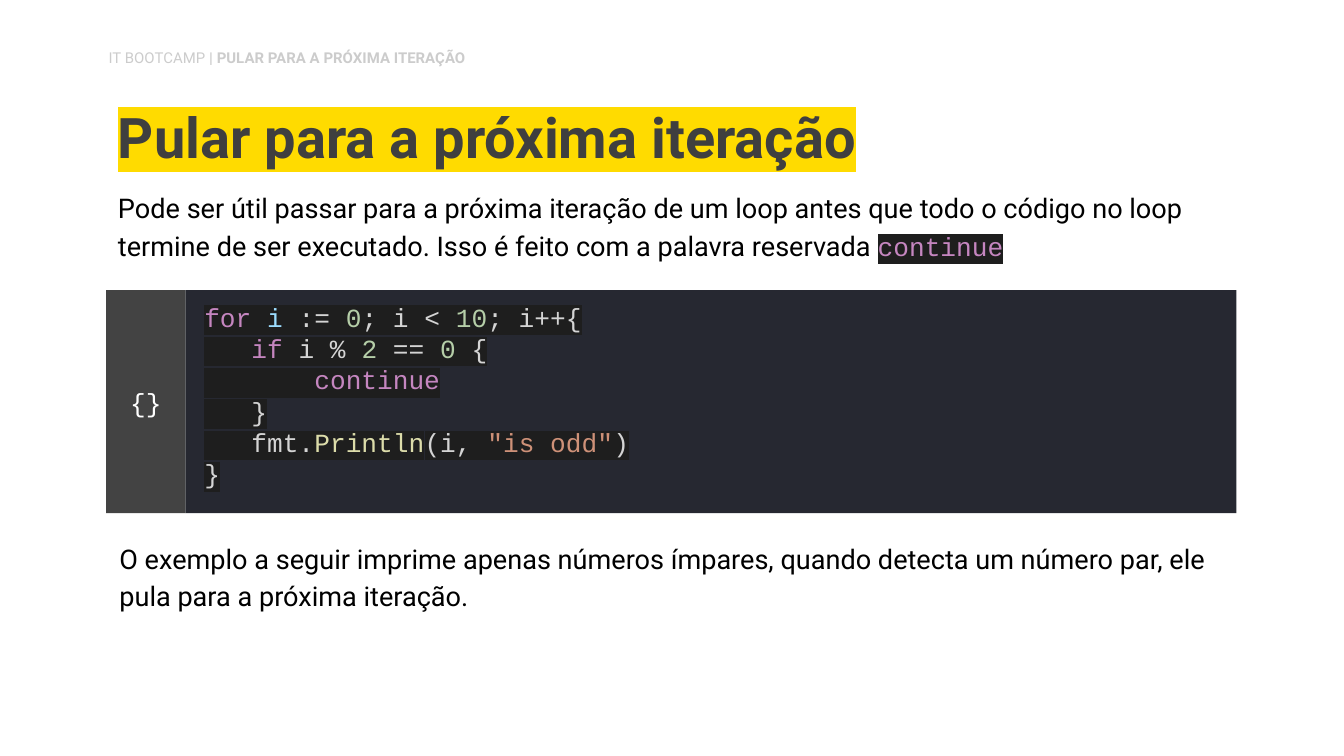
import pptx
import pptx.dml.color
import pptx.enum.shapes
import pptx.enum.text
import pptx.util
from lxml import etree
from pptx.util import Inches

PP_ALIGN = pptx.enum.text.PP_ALIGN
ANCHOR = pptx.enum.text.MSO_ANCHOR
SANS, MONO = "Roboto", "Courier New"
BLACK, WHITE = "000000", "FFFFFF"
CODE_BACK = "1E1E1E"
KEYWORD, PLAIN, VARIABLE = "C586C0", "D4D4D4", "9CDCFE"
NUMBER, FUNCTION, STRING = "B5CEA8", "DCDCAA", "CE9178"

CODE = [
    [("for", KEYWORD), (" ", PLAIN), ("i", VARIABLE), (" := ", PLAIN), ("0", NUMBER),
     ("; i < ", PLAIN), ("10", NUMBER), ("; i++{", PLAIN)],
    [("   ", PLAIN), ("if", KEYWORD), (" i % ", PLAIN), ("2", NUMBER),
     (" == ", PLAIN), ("0", NUMBER), (" {", PLAIN)],
    [("       ", PLAIN), ("continue", KEYWORD)],
    [("   }", PLAIN)],
    [("   fmt.", PLAIN), ("Println", FUNCTION), ("(i, ", PLAIN),
     ('"is odd"', STRING), (")", PLAIN)],
    [("}", PLAIN)],
]


def color(value):
    return pptx.dml.color.RGBColor.from_string(value)


def add_highlight(r, value):
    """Put a marker colour behind a run; its fill must be set already."""
    qn = pptx.oxml.ns.qn
    mark = etree.SubElement(r.font._element, qn("a:highlight"))
    etree.SubElement(mark, qn("a:srgbClr"), val=value)


def add_run(p, text, size, font, fill, bold=False, highlight=None):
    r = p.add_run()
    r.text = text
    r.font.size = pptx.util.Pt(size)
    r.font.bold = bold
    r.font.color.rgb = color(fill)
    if highlight:
        add_highlight(r, highlight)
    r.font.name = font


def set_frame(tf, anchor, left=0.1, top=0.1, right=0.1, bottom=0.1):
    tf.word_wrap = True
    tf.vertical_anchor = anchor
    tf.margin_left, tf.margin_top = Inches(left), Inches(top)
    tf.margin_right, tf.margin_bottom = Inches(right), Inches(bottom)


def add_text(s, left, top, width, height, line_spacing=1.0, anchor=ANCHOR.TOP, pad=0.1):
    """Add a text box and return its first paragraph."""
    sp = s.shapes.add_textbox(Inches(left), Inches(top), Inches(width), Inches(height))
    set_frame(sp.text_frame, anchor, top=pad, bottom=pad)
    p = sp.text_frame.paragraphs[0]
    p.line_spacing = line_spacing
    return p


def add_panel(group, left, width, fill):
    """Add one filled part of the code block and return its text frame."""
    sp = group.shapes.add_shape(pptx.enum.shapes.MSO_SHAPE.RECTANGLE,
                                Inches(left), Inches(2.16), Inches(width), Inches(1.66))
    sp.shadow.inherit = False
    sp.fill.solid()
    sp.fill.fore_color.rgb = color(fill)
    sp.line.fill.background()
    return sp.text_frame


def add_code_block(s):
    group = s.shapes.add_group_shape()
    tf = add_panel(group, 1.38, 7.82, "262831")
    set_frame(tf, ANCHOR.MIDDLE, left=0.14, top=0)
    for i, line in enumerate(CODE):
        p = tf.add_paragraph() if i else tf.paragraphs[0]
        p.alignment = PP_ALIGN.LEFT
        for text, fill in line:
            add_run(p, text, 14, MONO, fill, highlight=CODE_BACK)

    tf = add_panel(group, 0.79, 0.59, "434343")
    set_frame(tf, ANCHOR.MIDDLE)
    p = tf.paragraphs[0]
    p.alignment = PP_ALIGN.CENTER
    add_run(p, "{}", 14, MONO, WHITE)


def main():
    prs = pptx.Presentation()
    prs.slide_width = Inches(10)
    prs.slide_height = prs.slide_width * 9 // 16
    s = prs.slides.add_slide(prs.slide_layouts[6])

    p = add_text(s, 0.78, 1.29, 8.43, 0.79, 1.15)
    add_run(p, "Pode ser útil passar para a próxima iteração de um loop antes que todo "
            "o código no loop termine de ser executado. Isso é feito com a palavra "
            "reservada ", 14.5, SANS, BLACK, highlight=WHITE)
    add_run(p, "continue", 14, MONO, KEYWORD, highlight=CODE_BACK)

    p = add_text(s, 0.78, 0.68, 8.43, 0.69, 0.9, ANCHOR.BOTTOM)
    add_run(p, "Pular para a próxima iteração", 30, SANS, "3F3F3F", True, "FFDB00")

    p = add_text(s, 0.71, 0.31, 3.14, 0.27, pad=0.05)
    add_run(p, "IT BOOTCAMP", 8, SANS, "CCCCCC")
    add_run(p, " | PULAR PARA A PRÓXIMA ITERAÇÃO", 8, SANS, "CCCCCC", bold=True)

    add_code_block(s)

    p = add_text(s, 0.79, 3.9, 8.43, 0.79, 1.15)
    add_run(p, "O exemplo a seguir imprime apenas números ímpares, quando detecta um "
            "número par, ele pula para a próxima iteração.", 14.5, SANS, BLACK,
            highlight=WHITE)

    prs.save("out.pptx")


if __name__ == "__main__":
    main()
